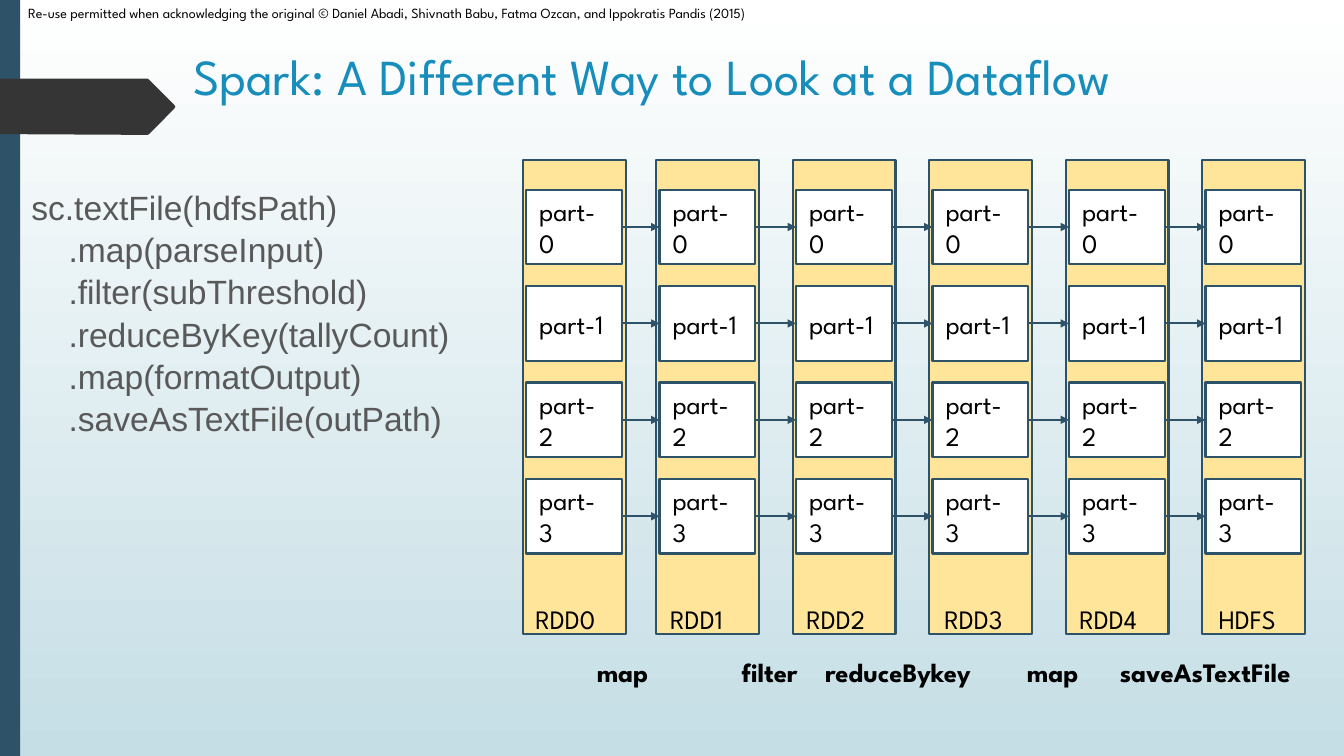
from dataclasses import dataclass

from lxml import etree
from pptx import Presentation
from pptx.dml.color import RGBColor
from pptx.enum.shapes import MSO_CONNECTOR, MSO_SHAPE
from pptx.enum.text import MSO_ANCHOR
from pptx.oxml.ns import qn
from pptx.util import Cm, Pt

RECT = MSO_SHAPE.RECTANGLE
STRAIGHT = MSO_CONNECTOR.STRAIGHT
MIDDLE = MSO_ANCHOR.MIDDLE
LEFT_SIDE, RIGHT_SIDE = 1, 3

NAVY = RGBColor(0x2E, 0x53, 0x69)
SAND = RGBColor(0xFF, 0xE5, 0x99)
WHITE = RGBColor(0xFF, 0xFF, 0xFF)
BLACK = RGBColor(0x00, 0x00, 0x00)
GREY = RGBColor(0x59, 0x59, 0x59)
CHARCOAL = RGBColor(0x35, 0x35, 0x35)
BLUE = RGBColor(0x17, 0x8D, 0xBB)
PALE_BLUE = RGBColor(0xC5, 0xDE, 0xE5)

SPARTAN = "League Spartan"
INSET = 0.33


@dataclass
class Style:
    size: float
    color: RGBColor = BLACK
    font: str = SPARTAN
    bold: bool = False
    spacing: float = 1.0


@dataclass
class Label:
    text: str
    left: float
    width: float = 2.87


DIAGRAM = Style(19)
OPERATION = Style(19, bold=True)
CODE = Style(24, GREY, "Arial", spacing=1.05)

# All lengths are in centimetres.
COLUMN_LEFTS = [13.18] + [16.54 + 3.44 * i for i in range(5)]
COLUMN_TOP, COLUMN_W, COLUMN_H = 4.04, 2.59, 11.94
PART_COUNT, PART_TOP, PART_STEP = 4, 4.78, 2.43
PART_DX, PART_W, PART_H = 0.08, 2.41, 1.88

DATASETS = [
    Label("RDD0", 13.16), Label("RDD1", 16.56), Label("RDD2", 19.99),
    Label("RDD3", 23.47), Label("RDD4", 26.87), Label("HDFS", 30.38),
]
OPERATIONS = [
    Label("map", 14.71), Label("filter", 18.36), Label("reduceBykey", 20.47, 5.26),
    Label("map", 25.55, 4.55), Label("saveAsTextFile", 27.89, 5.54),
]
CODE_LINES = [
    "sc.textFile(hdfsPath)",
    "    .map(parseInput)",
    "    .filter(subThreshold)",
    "    .reduceByKey(tallyCount)",
    "    .map(formatOutput)",
    "    .saveAsTextFile(outPath)",
]
TAG_OUTLINE = [
    (4.39, 2.74), (3.76, 3.38), (3.71, 3.40), (-0.03, 3.38), (0, 1.98),
    (3.71, 1.98), (3.76, 2.01), (4.39, 2.64), (4.42, 2.69),
]


def write(tf, lines: list[str], style: Style, inset: float | None = None) -> None:
    tf.word_wrap = True
    if inset is not None:
        tf.margin_left = tf.margin_right = Cm(inset)
        tf.margin_top = tf.margin_bottom = Cm(inset)
    for i, line in enumerate(lines):
        p = tf.add_paragraph() if i else tf.paragraphs[0]
        p.line_spacing = style.spacing
        r = p.add_run()
        r.text = line
        r.font.name, r.font.size = style.font, Pt(style.size)
        r.font.bold = style.bold
        r.font.color.rgb = style.color


def add_text(s, left: float, top: float, width: float, height: float,
             lines: list[str], style: Style, inset: float | None = None) -> None:
    sp = s.shapes.add_textbox(Cm(left), Cm(top), Cm(width), Cm(height))
    write(sp.text_frame, lines, style, inset)


def paint(sp, fill: RGBColor, outlined: bool) -> None:
    sp.shadow.inherit = False
    sp.fill.solid()
    sp.fill.fore_color.rgb = fill
    if outlined:
        sp.line.color.rgb = NAVY
        sp.line.width = Pt(1.5)
    else:
        sp.line.fill.background()


def add_rect(s, left: float, top: float, width: float, height: float,
             fill: RGBColor, outlined: bool = True):
    sp = s.shapes.add_shape(RECT, Cm(left), Cm(top), Cm(width), Cm(height))
    paint(sp, fill, outlined)
    return sp


def add_column(s, left: float) -> list:
    """Draw one dataset column and return its partition boxes."""
    add_rect(s, left, COLUMN_TOP, COLUMN_W, COLUMN_H, SAND)
    parts = []
    for i in range(PART_COUNT):
        sp = add_rect(s, left + PART_DX, PART_TOP + PART_STEP * i, PART_W, PART_H, WHITE)
        write(sp.text_frame, [f"part-{i}"], DIAGRAM, INSET)
        sp.text_frame.vertical_anchor = MIDDLE
        sp.text_frame.paragraphs[0].alignment = 1
        parts.append(sp)
    return parts


def add_arrow(s, source, target) -> None:
    cxn = s.shapes.add_connector(STRAIGHT, 0, 0, 0, 0)
    cxn.begin_connect(source, RIGHT_SIDE)
    cxn.end_connect(target, LEFT_SIDE)
    cxn.line.color.rgb = NAVY
    cxn.line.width = Pt(1.5)
    etree.SubElement(cxn.line._get_or_add_ln(), qn("a:tailEnd"), type="triangle")
    etree.SubElement(cxn._element.spPr, qn("a:effectLst"))


def add_background(s) -> None:
    fill = s.background.fill
    fill.gradient()
    fill.gradient_angle = 270
    for stop, position, color in zip(fill.gradient_stops, (0, 1), (WHITE, PALE_BLUE)):
        stop.position = position
        stop.color.rgb = color


def add_tag(s) -> None:
    points = [(Cm(x), Cm(y)) for x, y in TAG_OUTLINE]
    builder = s.shapes.build_freeform(*points[0])
    builder.add_line_segments(points[1:], close=True)
    paint(builder.convert_to_shape(), CHARCOAL, False)


def main() -> None:
    prs = Presentation()
    prs.slide_width, prs.slide_height = Cm(33.87), Cm(19.05)
    s = prs.slides.add_slide(prs.slide_layouts[6])

    add_background(s)
    add_rect(s, 0, 0, 0.51, 19.05, NAVY, outlined=False)
    add_text(s, 0.46, 0, 25.4, 0.84, [
        "Re-use permitted when acknowledging the original © Daniel Abadi, "
        "Shivnath Babu, Fatma Ozcan, and Ippokratis Pandis (2015)"], Style(10))
    add_tag(s)

    previous = []
    for left in COLUMN_LEFTS:
        parts = add_column(s, left)
        for source, target in zip(previous, parts):
            add_arrow(s, source, target)
        previous = parts

    for label in DATASETS:
        add_text(s, label.left, 14.86, label.width, 0.74, [label.text], DIAGRAM, INSET)
    for label in OPERATIONS:
        add_text(s, label.left, 16.2, label.width, 1.07, [label.text], OPERATION, INSET)

    add_text(s, 0.46, 4.32, 12.7, 13.67, CODE_LINES, CODE, INSET)
    add_text(s, 4.62, 1.02, 28.4, 2.69,
             ["Spark: A Different Way to Look at a Dataflow"], Style(36, BLUE))
    prs.save("out.pptx")


if __name__ == "__main__":
    main()
